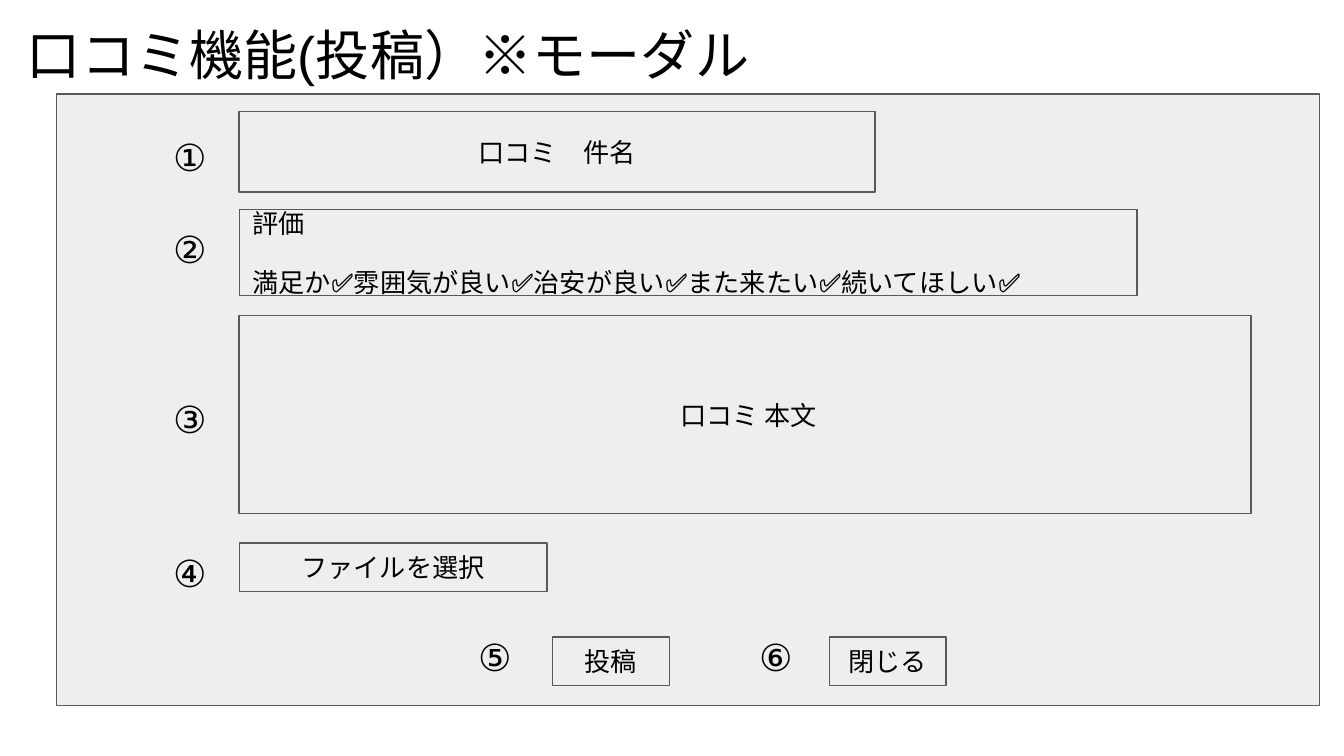
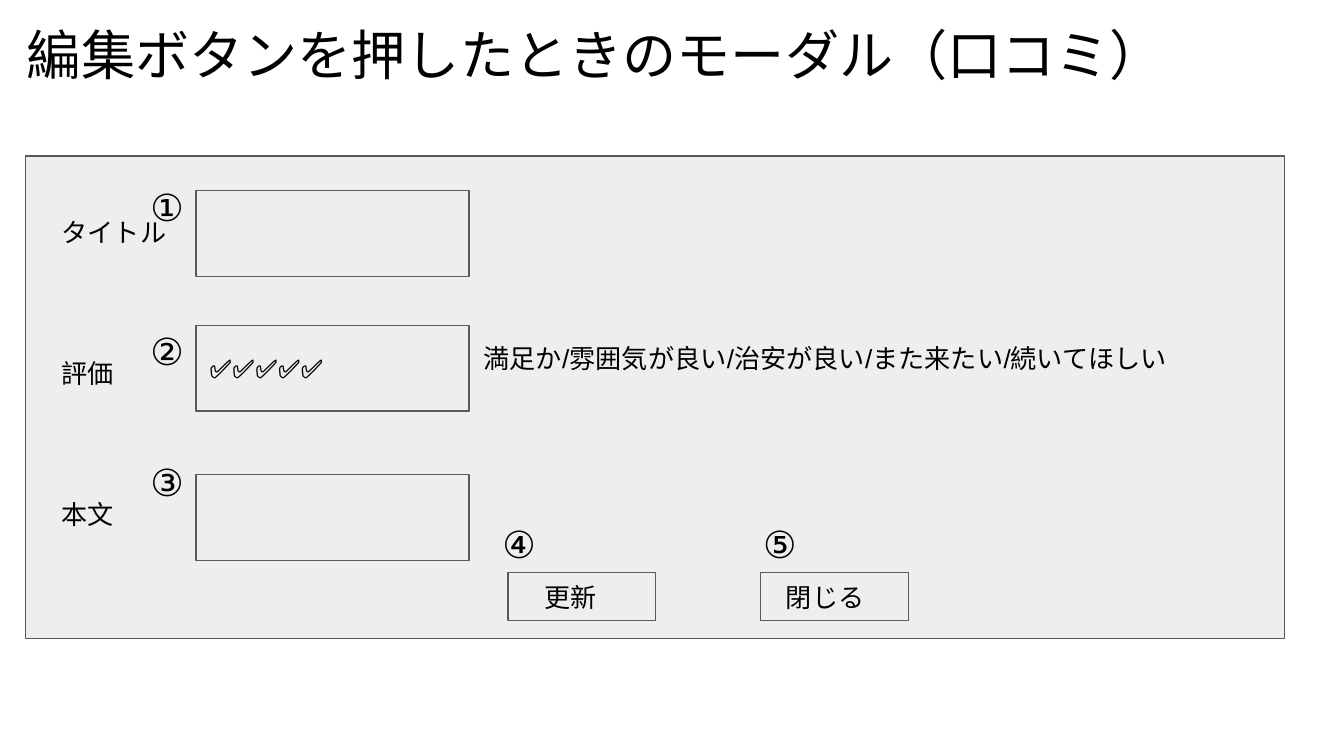
from pptx import Presentation
from pptx.dml.color import RGBColor
from pptx.enum.shapes import MSO_SHAPE
from pptx.enum.text import MSO_ANCHOR, MSO_AUTO_SIZE, PP_ALIGN
from pptx.util import Inches, Pt

RECT = MSO_SHAPE.RECTANGLE
TOP, MIDDLE = MSO_ANCHOR.TOP, MSO_ANCHOR.MIDDLE
LEFT, CENTER = PP_ALIGN.LEFT, PP_ALIGN.CENTER
NO_FIT = MSO_AUTO_SIZE.NONE

COLORS = {"text": "000000", "panel": "EEEEEE", "line": "595959"}
FONT = "Arial"
TITLE_SIZE, MARK_SIZE, BODY_SIZE = 29, 20, 14

# Grid: 100 columns by 56.25 rows of square cells
CELL = Inches(0.1)
COLS, ROWS = 100, 56.25


def cells(*counts):
    return [round(n * CELL) for n in counts]


def color(name):
    return RGBColor.from_string(COLORS[name])


def write(sp, lines, size, anchor=TOP, align=LEFT, gap=0, indent=0):
    """Fill a shape with one paragraph per line; gap is in points, indent in cells."""
    tf = sp.text_frame
    tf.word_wrap = True
    tf.auto_size = NO_FIT
    tf.vertical_anchor = anchor
    tf.margin_left = tf.margin_right = tf.margin_top = tf.margin_bottom = CELL
    for i, line in enumerate(lines):
        p = tf.add_paragraph() if i else tf.paragraphs[0]
        p.alignment = align
        if i:
            p.space_before = Pt(gap)
        if indent:
            p._p.get_or_add_pPr().set("marL", str(round(indent * CELL)))
        r = p.add_run()
        r.text = line
        r.font.name = FONT
        r.font.size = Pt(size)
        r.font.color.rgb = color("text")


def add_slide(prs, title):
    s = prs.slides.add_slide(prs.slide_layouts[5])
    sp = s.shapes.title
    sp.left, sp.top, sp.width, sp.height = cells(1, 0.6, 88.9, 6.4)
    write(sp, [title], TITLE_SIZE)
    return s


def add_box(s, x, y, w, h, *lines, align=CENTER, **style):
    sp = s.shapes.add_shape(RECT, *cells(x, y, w, h))
    sp.shadow.inherit = False
    sp.fill.solid()
    sp.fill.fore_color.rgb = color("panel")
    sp.line.color.rgb = color("line")
    sp.line.width = Pt(0.75)
    if lines:
        write(sp, lines, BODY_SIZE, MIDDLE, align, **style)


def add_text(s, x, y, w, h, text, size=BODY_SIZE):
    write(s.shapes.add_textbox(*cells(x, y, w, h)), [text], size)


def add_marks(s, marks):
    for mark, x, y in marks:
        add_text(s, x, y, 5.8, 4.6, mark, MARK_SIZE)


def post_slide(prs):
    s = add_slide(prs, "口コミ機能(投稿）※モーダル")
    add_box(s, 4.2, 7, 94, 45.5)

    # Form fields share one left edge
    field_x = 17.8
    add_box(s, field_x, 8.3, 47.3, 6, "口コミ\u3000件名".replace("\u3000", "　"))
    add_box(s, field_x, 15.6, 66.8, 6.4, "評価",
            "満足か✅雰囲気が良い✅治安が良い✅また来たい✅続いてほしい✅",
            align=LEFT, gap=15)
    add_box(s, field_x, 23.5, 75.3, 14.7, "口コミ 本文", indent=0.5)
    add_box(s, field_x, 40.4, 22.9, 3.6, "ファイルを選択")

    # Buttons
    for x, label in ((41.1, "投稿"), (61.7, "閉じる")):
        add_box(s, x, 47.4, 8.7, 3.6, label)

    mark_x, button_y = 11.9, 46.2
    add_marks(s, [("①", mark_x, 9), ("②", mark_x, 15.8),
                  ("③", mark_x, 28.5), ("④", mark_x, 39.9),
                  ("⑤", 34.6, button_y), ("⑥", 55.5, button_y)])


def edit_slide(prs):
    s = add_slide(prs, "編集ボタンを押したときのモーダル（口コミ）")
    add_box(s, 1.9, 11.6, 93.7, 35.9)

    # Labelled fields: label, label row, field row, content
    for label, label_y, y, content in (("タイトル", 15.1, 14.2, []),
                                       ("評価", 25.6, 24.2, ["✅" * 5]),
                                       ("本文", 36.1, 35.3, [])):
        add_box(s, 14.6, y, 20.3, 6.4, *content, align=LEFT)
        add_text(s, 3.6, label_y, 11, 4.6, label)
    add_text(s, 35, 24.5, 60.7, 10.2,
             "満足か/雰囲気が良い/治安が良い/また来たい/続いてほしい")

    # Buttons
    for x, label, indent in ((37.8, "更新", 1.7), (56.6, "閉じる", 0.9)):
        add_box(s, x, 42.6, 11, 3.6, label, align=LEFT, indent=indent)

    mark_x, button_y = 10.2, 37.8
    add_marks(s, [("①", mark_x, 12.7), ("②", mark_x, 23.4),
                  ("③", mark_x, 33.2),
                  ("④", 36.4, button_y), ("⑤", 55.8, button_y)])


def main():
    prs = Presentation()
    prs.slide_width, prs.slide_height = cells(COLS, ROWS)
    post_slide(prs)
    edit_slide(prs)
    prs.save("out.pptx")


if __name__ == "__main__":
    main()
